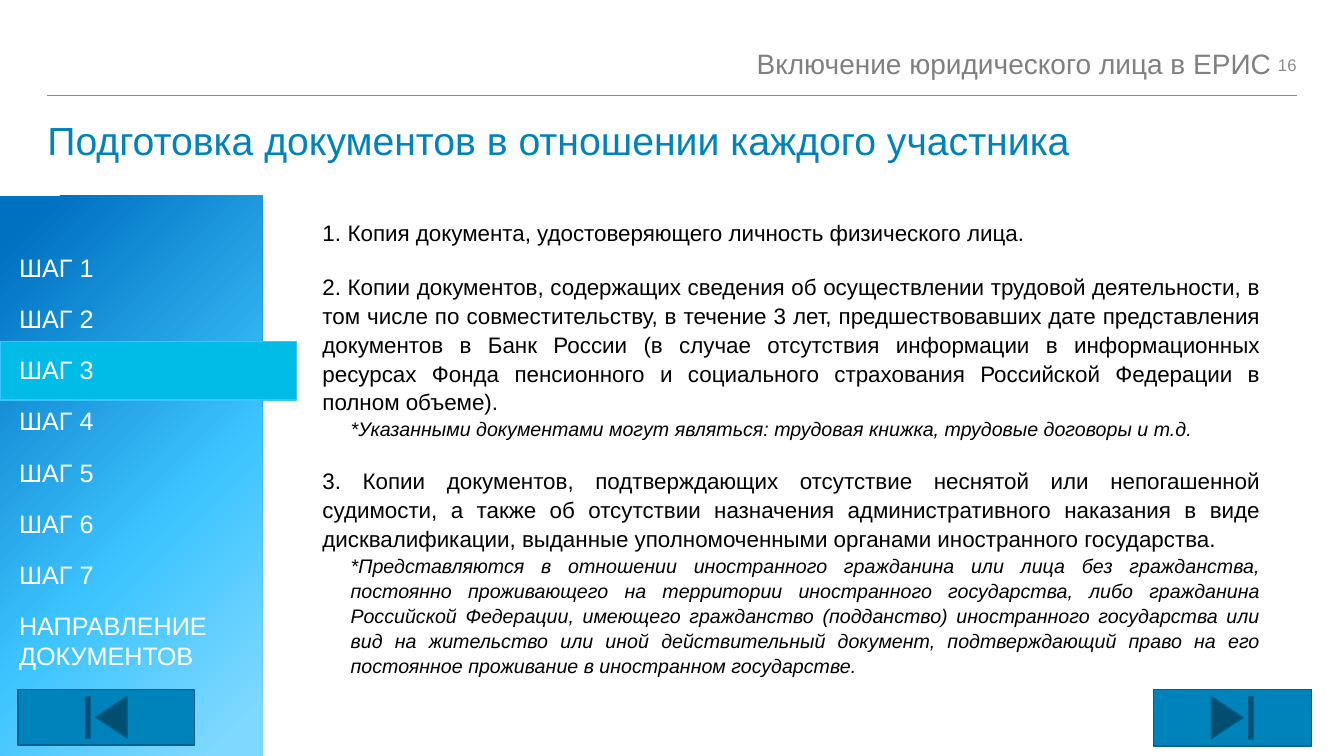
import pptx
import pptx.util
import pptx.dml.color
import pptx.enum.shapes
import pptx.enum.text
import pptx.oxml
import pptx.oxml.ns
import lxml.etree

Inches = pptx.util.Inches
Pt = pptx.util.Pt
SHAPES = pptx.enum.shapes.MSO_SHAPE
ALIGN = pptx.enum.text.PP_ALIGN
COLORS = {
    "title": "0082BB", "header": "808080", "number": "8C8C8C", "rule": "888A8D",
    "body": "000000", "menu": "FFFFFF", "current": "00BCE7", "current_line": "3DC4FF",
    "button": "0082BB", "button_line": "00608A",
}
SIDEBAR_STOPS = [(6, "0070C0"), (60, "3DC4FF"), (94, "7ED8FF")]


def rgb(name):
    return pptx.dml.color.RGBColor.from_string(COLORS[name])


def format_text(paragraph, size, color, italic=False):
    for run in paragraph.runs:
        run.font.name = "Arial"
        run.font.size = Pt(size)
        run.font.italic = italic
        run.font.color.rgb = rgb(color)


presentation = pptx.Presentation()
presentation.slide_width = Inches(13.33)
presentation.slide_height = Inches(7.5)
slide = presentation.slides.add_slide(presentation.slide_layouts[5])

# Title
title = slide.shapes.title
title.left, title.top, title.width, title.height = map(Inches, (0.47, 1.21, 12.39, 0.66))
frame = title.text_frame
frame.text = "Подготовка документов в отношении каждого участника"
frame.margin_left = frame.margin_right = frame.margin_top = frame.margin_bottom = 0
frame.vertical_anchor = pptx.enum.text.MSO_ANCHOR.TOP
frame.auto_size = pptx.enum.text.MSO_AUTO_SIZE.NONE
frame.paragraphs[0].alignment = ALIGN.LEFT
frame.paragraphs[0].line_spacing = 0.9
format_text(frame.paragraphs[0], 28, "title")

# Header rule
rule = slide.shapes.add_connector(pptx.enum.shapes.MSO_CONNECTOR.STRAIGHT,
                                  Inches(0.47), Inches(0.95), Inches(12.86), Inches(0.95))
rule.line.color.rgb = rgb("rule")
rule.line.width = Pt(0.5)
lxml.etree.SubElement(rule._element.spPr, pptx.oxml.ns.qn("a:effectLst"))

# Section name and page number
for text, box, size, color, spacing, anchor in [
    ("Включение юридического лица в ЕРИС", (0.22, 0.43, 12.39, 0.66), 20, "header", 1.1, "TOP"),
    ("16", (12.05, 0.47, 0.81, 0.35), 12, "number", 1.0, "MIDDLE"),
]:
    frame = slide.shapes.add_textbox(*map(Inches, box)).text_frame
    frame.text = text
    frame.word_wrap = True
    frame.margin_left = frame.margin_right = frame.margin_top = frame.margin_bottom = 0
    frame.vertical_anchor = pptx.enum.text.MSO_ANCHOR[anchor]
    frame.paragraphs[0].alignment = ALIGN.RIGHT
    frame.paragraphs[0].line_spacing = spacing
    format_text(frame.paragraphs[0], size, color)

# Sidebar with a diagonal gradient
sidebar = slide.shapes.add_shape(SHAPES.RECTANGLE, 0, Inches(1.94), Inches(2.6), Inches(5.56))
sidebar.shadow.inherit = False
sidebar.line.fill.background()
sidebar.fill.gradient()
stop_list = sidebar._element.spPr.find(".//" + pptx.oxml.ns.qn("a:gsLst"))
for stop in list(stop_list):
    stop_list.remove(stop)
for position, color in SIDEBAR_STOPS:
    stop = lxml.etree.SubElement(stop_list, pptx.oxml.ns.qn("a:gs"), pos=str(position * 1000))
    lxml.etree.SubElement(stop, pptx.oxml.ns.qn("a:srgbClr"), val=color)
sidebar.fill.gradient_angle = 315

# Current step marker and navigation buttons
for kind, box, fill, line in [
    (SHAPES.RECTANGLE, (0, 3.39, 2.94, 0.58), "current", "current_line"),
    (SHAPES.ACTION_BUTTON_END, (11.44, 6.84, 1.57, 0.56), "button", "button_line"),
    (SHAPES.ACTION_BUTTON_BEGINNING, (0.18, 6.84, 1.75, 0.55), "button", "button_line"),
]:
    shape = slide.shapes.add_shape(kind, *map(Inches, box))
    shape.shadow.inherit = False
    shape.fill.solid()
    shape.fill.fore_color.rgb = rgb(fill)
    shape.line.color.rgb = rgb(line)
    shape.line.width = Pt(1)

# Step menu
menu = slide.shapes.add_textbox(Inches(0.09), Inches(2.45), Inches(2.52), Inches(4.3)).text_frame
menu.word_wrap = True
menu.text = "\n".join([f"ШАГ {step}" for step in range(1, 8)] + ["НАПРАВЛЕНИЕ ДОКУМЕНТОВ"])
for paragraph in menu.paragraphs:
    paragraph.space_after = Pt(15)
    format_text(paragraph, 18, "menu")

# Document list: text, is it a note, space before
documents = [
    ("Копия документа, удостоверяющего личность физического лица.", False, 0),
    ("2. Копии документов, содержащих сведения об осуществлении трудовой деятельности, "
     "в том числе по совместительству, в течение 3 лет, предшествовавших дате представления "
     "документов в Банк России (в случае отсутствия информации в информационных ресурсах "
     "Фонда пенсионного и социального страхования Российской Федерации в полном объеме).",
     False, 18),
    ("*Указанными документами могут являться: трудовая книжка, трудовые договоры и т.д.",
     True, 0),
    ("3. Копии документов, подтверждающих отсутствие неснятой или непогашенной судимости, "
     "а также об отсутствии назначения административного наказания в виде дисквалификации, "
     "выданные уполномоченными органами иностранного государства.", False, 18),
    ("*Представляются в отношении иностранного гражданина или лица без гражданства, "
     "постоянно проживающего на территории иностранного государства, либо гражданина "
     "Российской Федерации, имеющего гражданство (подданство) иностранного государства или "
     "вид на жительство или иной действительный документ, подтверждающий право на его "
     "постоянное проживание в иностранном государстве.", True, 0),
]
body = slide.shapes.add_textbox(Inches(2.6), Inches(1.83), Inches(10), Inches(5.27)).text_frame
body.word_wrap = True
body.margin_top = Inches(0.33)
body.text = "\n".join(text for text, note, gap in documents)
for paragraph, (text, note, gap) in zip(body.paragraphs, documents):
    paragraph.alignment = ALIGN.JUSTIFY
    paragraph.line_spacing = 1.07
    paragraph.space_before = Pt(gap)
    paragraph._p.get_or_add_pPr().set("marL", str(Inches(0.78 if note else 0.5)))
    format_text(paragraph, 14 if note else 16, "body", note)

# Automatic number of the first document
numbered = body.paragraphs[0]._p.get_or_add_pPr()
numbered.set("marL", str(Inches(0.75)))
numbered.set("indent", str(Inches(-0.25)))
lxml.etree.SubElement(numbered, pptx.oxml.ns.qn("a:buAutoNum"), type="arabicPeriod")

presentation.save("out.pptx")
